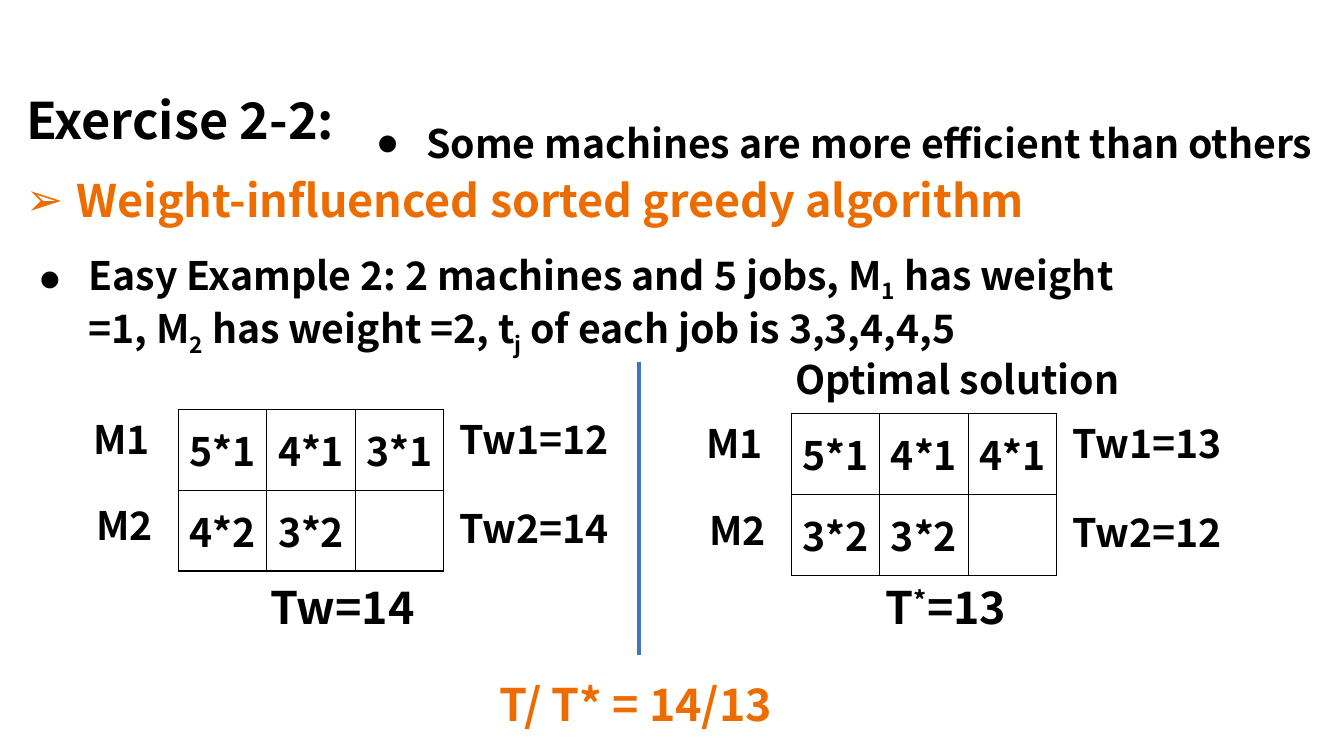
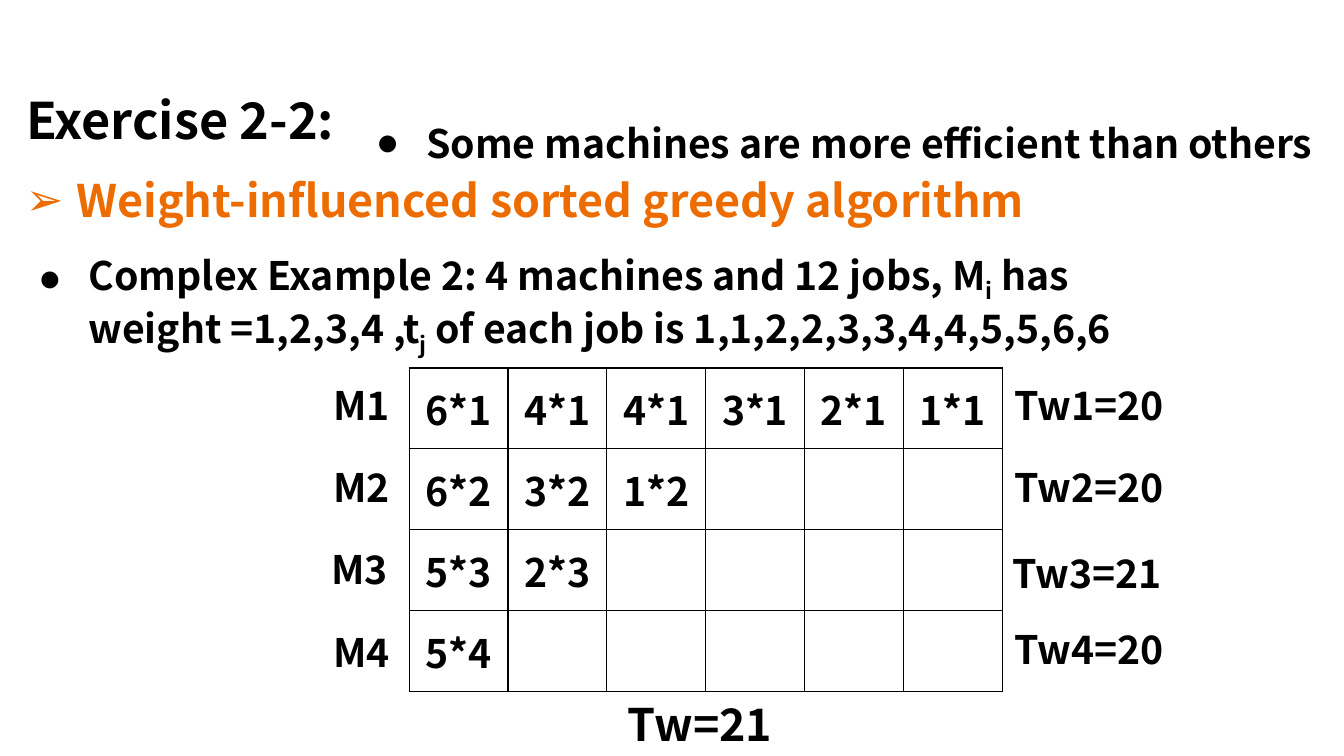
from dataclasses import dataclass

import lxml.etree
import pptx
import pptx.dml.color
import pptx.enum.shapes
import pptx.enum.text
import pptx.oxml.ns
import pptx.util

Pt = pptx.util.Pt
qn = pptx.oxml.ns.qn
RGB = pptx.dml.color.RGBColor.from_string
Align = pptx.enum.text.PP_ALIGN
Anchor = pptx.enum.text.MSO_ANCHOR
AutoSize = pptx.enum.text.MSO_AUTO_SIZE


@dataclass(frozen=True)
class Theme:
    font: str = "Noto Sans CJK SC"
    ink: str = "000000"
    accent: str = "ED6C00"
    paper: str = "FFFFFF"
    divider: str = "4472C4"
    heading: int = 36
    emphasis: int = 32
    body: int = 28
    indent: int = 36
    border: int = 1
    divider_width: int = 3


@dataclass(frozen=True)
class Box:
    left: float
    top: float
    width: float
    height: float


THEME = Theme()
SUBSCRIPT, SUPERSCRIPT = -25000, 30000
LABEL_HEIGHT, TOTAL_HEIGHT = 41, 46.1
DOT, ARROW = "●", "➢"


def apply(target, values):
    for name, value in values.items():
        setattr(target, name, value)


def write(paragraph, pieces, size, color=THEME.ink):
    for piece in pieces:
        words, shift = piece if isinstance(piece, tuple) else (piece, 0)
        run = paragraph.add_run()
        run.text = words
        apply(run.font, {"name": THEME.font, "size": Pt(size), "bold": True})
        run.font.color.rgb = RGB(color)
        if shift:
            run.font._element.set("baseline", str(shift))


def add_bullet(paragraph, mark):
    properties = paragraph._p.get_or_add_pPr()
    properties.set("marL", str(Pt(THEME.indent)))
    properties.set("indent", str(-Pt(THEME.indent)))
    lxml.etree.SubElement(properties, qn("a:buFont")).set("typeface", "Arial")
    lxml.etree.SubElement(properties, qn("a:buChar")).set("char", mark)


def add_text(slide, box, *pieces, size=THEME.body, color=THEME.ink, bullet=None, wrap=True):
    frame = slide.shapes.add_textbox(
        Pt(box.left), Pt(box.top), Pt(box.width), Pt(box.height)).text_frame
    apply(frame, {"word_wrap": wrap, "auto_size": AutoSize.SHAPE_TO_FIT_TEXT})
    paragraph = frame.paragraphs[0]
    if bullet:
        add_bullet(paragraph, bullet)
    write(paragraph, pieces, size, color)


def add_borders(cell):
    properties = cell._tc.get_or_add_tcPr()
    for index, side in enumerate(("lnL", "lnR", "lnT", "lnB")):
        edge = lxml.etree.Element(qn("a:" + side), w=str(Pt(THEME.border)))
        fill = lxml.etree.SubElement(edge, qn("a:solidFill"))
        lxml.etree.SubElement(fill, qn("a:srgbClr")).set("val", THEME.ink)
        properties.insert(index, edge)


def add_job_grid(slide, box, rows, columns):
    grid = slide.shapes.add_table(
        len(rows), columns, Pt(box.left), Pt(box.top), Pt(box.width), Pt(box.height)).table
    apply(grid, {"first_row": False, "horz_banding": False})
    for column in grid.columns:
        column.width = Pt(box.width / columns)
    for row, jobs in enumerate(rows):
        grid.rows[row].height = Pt(box.height / len(rows))
        for column in range(columns):
            cell = grid.cell(row, column)
            cell.vertical_anchor = Anchor.MIDDLE
            cell.fill.solid()
            cell.fill.fore_color.rgb = RGB(THEME.paper)
            add_borders(cell)
            if column < len(jobs):
                paragraph = cell.text_frame.paragraphs[0]
                paragraph.alignment = Align.CENTER
                write(paragraph, [jobs[column]], THEME.body)


def add_schedule(slide, box, machines, loads, columns, offsets, total, total_offset):
    add_job_grid(slide, box, [jobs.split() for jobs in machines], columns)
    places = zip(loads, offsets["machine"], offsets["load"])
    for number, (load, (machine_x, machine_y), (load_x, load_y)) in enumerate(places, 1):
        add_text(slide, Box(box.left + machine_x, box.top + machine_y, 61.2, LABEL_HEIGHT),
                 f"M{number}", wrap=False)
        add_text(slide, Box(box.left + box.width + load_x, box.top + load_y,
                            offsets["load_width"], LABEL_HEIGHT),
                 f"Tw{number}={load}", wrap=False)
    x, y, width = total_offset
    add_text(slide, Box(box.left + x, box.top + y, width, TOTAL_HEIGHT),
             *total, size=THEME.emphasis, wrap=False)


def add_exercise(deck, *example):
    slide = deck.slides.add_slide(deck.slide_layouts[6])
    add_text(slide, Box(11.5, 59.8, 782, 51.1), "Exercise 2-2:", size=THEME.heading)
    add_text(slide, Box(261.4, 81.4, 818, LABEL_HEIGHT),
             "Some machines are more efficient than others", bullet=DOT)
    add_text(slide, Box(11.5, 120.2, 836, TOTAL_HEIGHT),
             "Weight-influenced sorted greedy algorithm",
             size=THEME.emphasis, color=THEME.accent, bullet=ARROW)
    add_text(slide, Box(20.2, 175.7, 818, 74.9), *example, bullet=DOT)
    return slide


def add_divider(slide, x, top, bottom):
    divider = slide.shapes.add_connector(
        pptx.enum.shapes.MSO_CONNECTOR.STRAIGHT, Pt(x), Pt(top), Pt(x), Pt(bottom))
    divider.line.color.rgb = RGB(THEME.divider)
    divider.line.width = Pt(THEME.divider_width)
    lxml.etree.SubElement(divider._element.spPr, qn("a:effectLst"))


def build_easy_example(deck):
    slide = add_exercise(
        deck, "Easy Example 2: 2 machines and 5 jobs, M", ("1", SUBSCRIPT),
        " has weight =1, M", ("2", SUBSCRIPT), " has weight =2, t", ("j", SUBSCRIPT),
        " of each job is 3,3,4,4,5")
    offsets = {"machine": [(-67.7, 0.7), (-65.5, 62.6)],
               "load": [(4.1, 1.1), (4.1, 64.1)], "load_width": 123.8}
    add_schedule(slide, Box(127.4, 292.3, 189.6, 115.6), ["5*1 4*1 3*1", "4*2 3*2"],
                 [12, 14], 3, offsets, ["Tw=14"], (58.4, 118.1, 119.5))
    add_divider(slide, 456.5, 258.5, 468)
    add_text(slide, Box(560.9, 250.6, 251.3, LABEL_HEIGHT), "Optimal solution")
    add_schedule(slide, Box(565.2, 295.2, 189.6, 115.6), ["5*1 4*1 4*1", "3*2 3*2"],
                 [13, 12], 3, offsets, ["T", ("*", SUPERSCRIPT), "=13"], (60.5, 115.2, 102.2))
    add_text(slide, Box(349.9, 479.5, 221.8, TOTAL_HEIGHT), "T/ T* = 14/13",
             size=THEME.emphasis, color=THEME.accent, wrap=False)


def build_complex_example(deck):
    slide = add_exercise(
        deck, "Complex Example 2: 4 machines and 12 jobs, M", ("i", SUBSCRIPT),
        " has weight =1,2,3,4 ,t", ("j", SUBSCRIPT), " of each job is 1,1,2,2,3,3,4,4,5,5,6,6")
    offsets = {"machine": [(-61.2, 5.8), (-61.2, 64.8), (-62.6, 123.1), (-61.2, 182.2)],
               "load": [(1.4, 5.8), (1.4, 64.8), (0, 126), (1.4, 180)], "load_width": 128.9}
    add_schedule(slide, Box(292.3, 262.8, 423.6, 231.2),
                 ["6*1 4*1 4*1 3*1 2*1 1*1", "6*2 3*2 1*2", "5*3 2*3", "5*4"],
                 [20, 20, 21, 20], 6, offsets, ["Tw=21"], (149, 231.1, 125.3))


deck = pptx.Presentation()
apply(deck, {"slide_width": Pt(960), "slide_height": Pt(540)})
build_easy_example(deck)
build_complex_example(deck)
deck.save("out.pptx")
